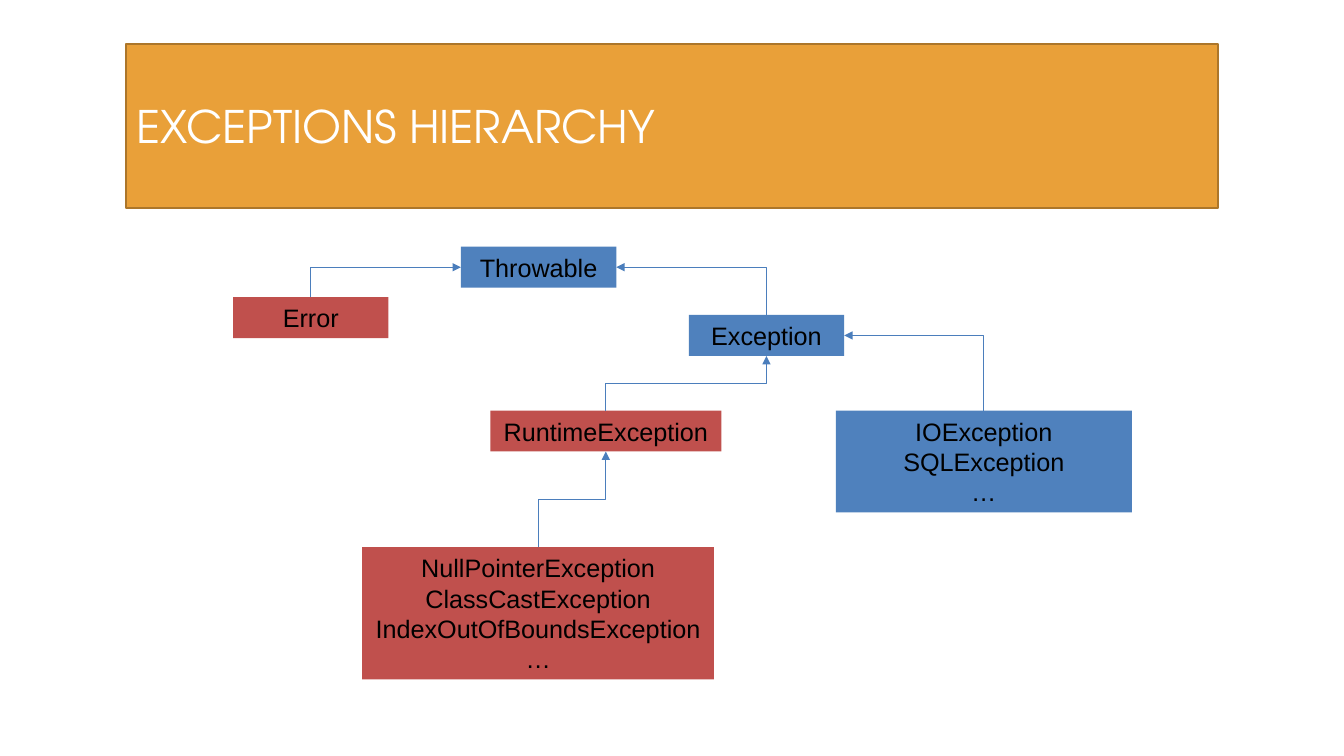
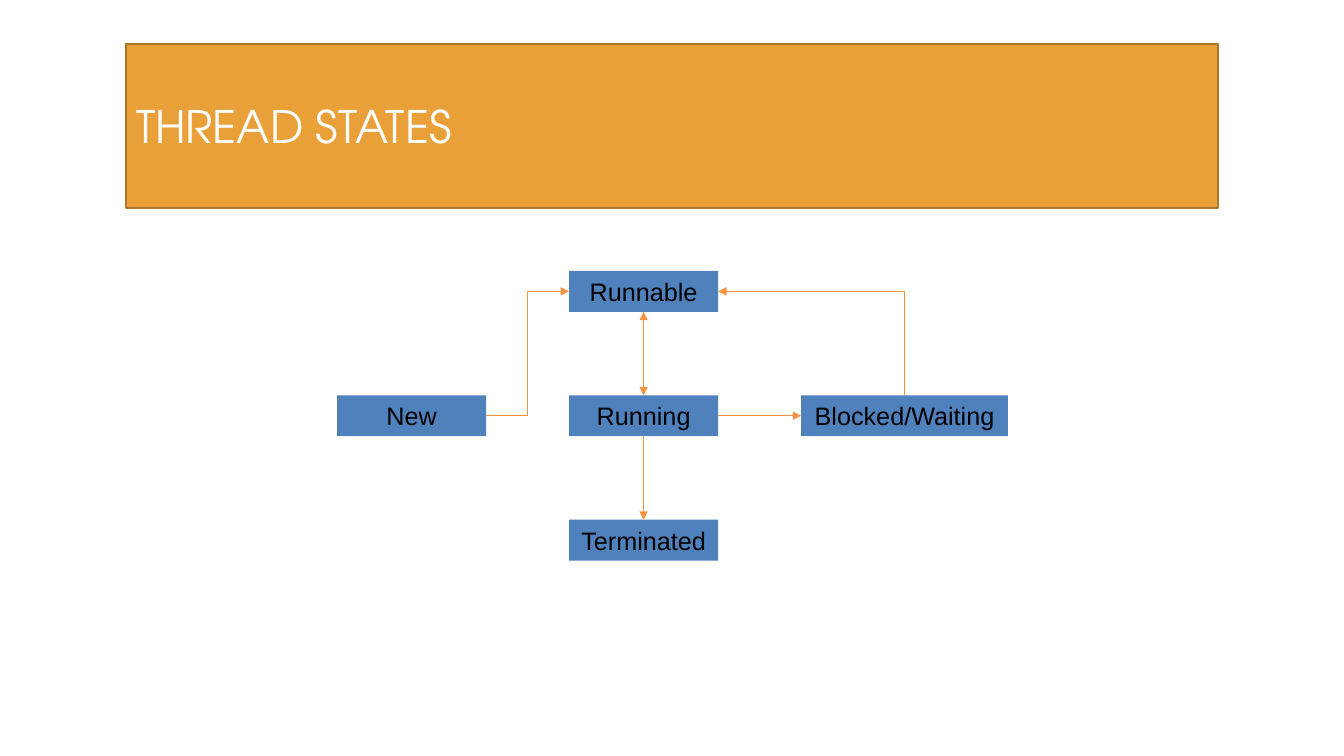
from dataclasses import dataclass

from lxml import etree
from pptx import Presentation
from pptx.dml.color import RGBColor
from pptx.enum.shapes import MSO_CONNECTOR, MSO_SHAPE
from pptx.enum.text import MSO_ANCHOR, PP_ALIGN
from pptx.oxml.ns import qn
from pptx.util import Pt

PX = 9525
RECT = MSO_SHAPE.RECTANGLE
STRAIGHT, ELBOW = MSO_CONNECTOR.STRAIGHT, MSO_CONNECTOR.ELBOW
LEFT, CENTER = PP_ALIGN.LEFT, PP_ALIGN.CENTER
MIDDLE = MSO_ANCHOR.MIDDLE
TOP, WEST, BOTTOM, EAST = range(4)
HEAD, TAIL, BOTH = ("headEnd",), ("tailEnd",), ("headEnd", "tailEnd")


@dataclass(frozen=True)
class Theme:
    band: str = "E9A039"
    edge: str = "AC762A"
    white: str = "FFFFFF"
    black: str = "000000"
    blue: str = "4F81BD"
    red: str = "C0504D"
    link: str = "4B7EBC"
    flow: str = "F69240"
    head_font: str = "TeX Gyre Adventor"
    body_font: str = "Arial"
    head_size: int = 32
    body_size: int = 18
    edge_size: float = 1.5
    line_size: float = 0.75


THEME = Theme()
BAND = (120, 42, 1040, 156)


def rgb(code):
    return RGBColor.from_string(code)


def assign(target, values):
    for name, value in values.items():
        setattr(target, name, value)


def place(shape, box):
    names = ("left", "top", "width", "height")
    assign(shape, dict(zip(names, (round(n * PX) for n in box))))


def paint(shape, code):
    shape.fill.solid()
    shape.fill.fore_color.rgb = rgb(code)


def write(shape, text, align, font, size, color):
    frame = shape.text_frame
    assign(frame, {"text": text, "word_wrap": True, "vertical_anchor": MIDDLE})
    for para in frame.paragraphs:
        para.alignment = align
        for run in para.runs:
            assign(run.font, {"name": font, "size": Pt(size)})
            run.font.color.rgb = rgb(color)


def add_title(slide, text, box):
    title = slide.shapes.title
    place(title, box)
    paint(title, THEME.band)
    title.line.color.rgb = rgb(THEME.edge)
    title.line.width = Pt(THEME.edge_size)
    write(title, text, LEFT, THEME.head_font, THEME.head_size, THEME.white)


def add_node(slide, text, box, color):
    node = slide.shapes.add_shape(RECT, 0, 0, 0, 0)
    place(node, box)
    node.shadow.inherit = False
    paint(node, color)
    node.line.fill.background()
    write(node, text, CENTER, THEME.body_font, THEME.body_size, THEME.black)
    return node


def join(slide, kind, start, end, color, tips):
    """Glue a connector to two (node, side) pairs, with arrowheads at tips."""
    line = slide.shapes.add_connector(kind, 0, 0, 0, 0)
    line.begin_connect(*start)
    line.end_connect(*end)
    line.line.color.rgb = rgb(color)
    line.line.width = Pt(THEME.line_size)
    props = line._element.spPr
    for tip in tips:
        etree.SubElement(props.find(qn("a:ln")), qn("a:" + tip), type="triangle")
    etree.SubElement(props, qn("a:effectLst"))
    return line


def corner(slide, start, end, color):
    """Run sideways from start, turn once, and point back at start."""
    line = join(slide, ELBOW, start, end, color, HEAD)
    line._element.spPr.find(qn("a:prstGeom")).set("prst", "bentConnector2")


def rise(slide, start, end, color):
    """Run up, across and up again, to an end that lies above and right."""
    line = join(slide, ELBOW, start, end, color, TAIL)
    wide, high = line.width, line.height
    shift = (wide - high) // 2
    assign(line, {"left": line.left + shift, "top": line.top - shift,
                  "width": high, "height": wide})
    frame = line._element.spPr.find(qn("a:xfrm"))
    frame.attrib.pop("flipV", None)
    frame.set("rot", str(270 * 60000))


def add_tree(slide, x, y):
    step, wide, high = 217, 148, 39
    parts = (
        ("Error", 0, 48, wide, high, THEME.red),
        ("Throwable", step, 0, wide, high, THEME.blue),
        ("Exception", 2 * step, 65, wide, high, THEME.blue),
        ("RuntimeException", 245, 156, 220, high, THEME.red),
        ("IOException\nSQLException\n…", 574, 156, 282, 97, THEME.blue),
        ("NullPointerException\nClassCastException\n"
         "IndexOutOfBoundsException\n…", 123, 286, 335, 126, THEME.red),
    )
    error, root, fault, runtime, checked, unchecked = [
        add_node(slide, text, (x + dx, y + dy, w, h), color)
        for text, dx, dy, w, h, color in parts]
    for parent, side, child in ((root, WEST, error), (root, EAST, fault),
                                (fault, EAST, checked)):
        corner(slide, (parent, side), (child, TOP), THEME.link)
    for child, parent in ((runtime, fault), (unchecked, runtime)):
        rise(slide, (child, TOP), (parent, BOTTOM), THEME.link)


def add_states(slide, x, y):
    across, down, wide, high = 221, 118.5, 142, 39
    parts = (
        ("New", 0, 1, wide),
        ("Runnable", 1, 0, wide),
        ("Running", 1, 1, wide),
        ("Terminated", 1, 2, wide),
        ("Blocked/Waiting", 2, 1, 197),
    )
    new, ready, active, done, held = [
        add_node(slide, text, (x + col * across, y + row * down, w, high),
                 THEME.blue)
        for text, col, row, w in parts]
    corner(slide, (ready, EAST), (held, TOP), THEME.flow)
    for kind, start, end, tips in (
            (ELBOW, (new, EAST), (ready, WEST), TAIL),
            (STRAIGHT, (active, BOTTOM), (done, TOP), TAIL),
            (STRAIGHT, (active, EAST), (held, WEST), TAIL),
            (STRAIGHT, (active, TOP), (ready, BOTTOM), BOTH)):
        join(slide, kind, start, end, THEME.flow, tips)


def main():
    deck = Presentation()
    assign(deck, {"slide_width": 1280 * PX, "slide_height": 720 * PX})
    for text, draw, x, y in (("EXCEPTIONS HIERARCHY", add_tree, 222, 235),
                             ("THREAD STATES", add_states, 321, 258)):
        slide = deck.slides.add_slide(deck.slide_layouts[5])
        add_title(slide, text, BAND)
        draw(slide, x, y)
    deck.save("out.pptx")


if __name__ == "__main__":
    main()
